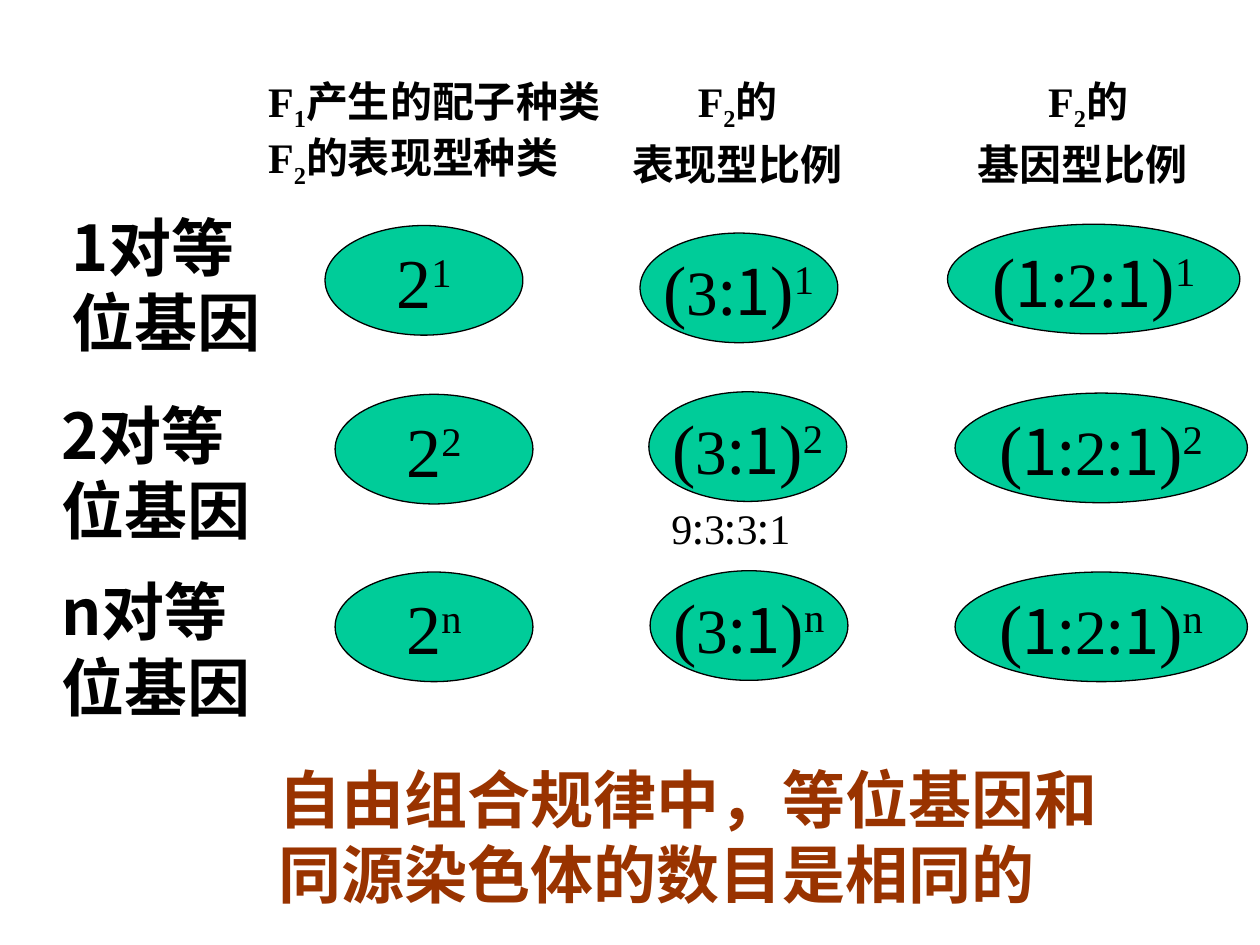
from pptx import Presentation
from pptx.dml.color import RGBColor
from pptx.enum.shapes import MSO_SHAPE
from pptx.enum.text import MSO_ANCHOR, MSO_AUTO_SIZE, PP_ALIGN
from pptx.oxml.ns import qn
from pptx.util import Inches, Pt

COLORS = {"text": "000000", "oval": "00CC99", "conclusion": "993300"}
SERIF, SANS = "Times New Roman", "Noto Sans CJK SC"
SUB, SUPER = -25000, 30000


def add_run(p, text, size, font=SERIF, color="text", bold=False, baseline=0):
    """Add one formatted run to a paragraph."""
    r = p.add_run()
    r.text = text
    r.font.name, r.font.size, r.font.bold = font, Pt(size), bold
    r.font.color.rgb = RGBColor.from_string(COLORS[color])
    rpr = r._r.get_or_add_rPr()
    ea = rpr.makeelement(qn("a:ea"), {"typeface": SANS})
    rpr.find(qn("a:latin")).addnext(ea)
    if baseline:
        rpr.set("baseline", str(baseline))


def add_box(s, left, top, width, height):
    """Add a wrapping text box and return its text frame."""
    sp = s.shapes.add_textbox(Inches(left), Inches(top), Inches(width), Inches(height))
    tf = sp.text_frame
    tf.word_wrap = True
    tf.auto_size = MSO_AUTO_SIZE.SHAPE_TO_FIT_TEXT
    return tf


def add_statement(s, left, top, width, text, color="text"):
    """Add a large bold two-line text."""
    tf = add_box(s, left, top, width, 1.3)
    tf.margin_top, tf.margin_bottom = Inches(0.1), 0
    p = tf.paragraphs[0]
    p.line_spacing = Pt(43)
    add_run(p, text, 36, SANS, color, True)


def add_header(s, left, width, height, lines, align):
    """Add a column header whose digits are subscripts."""
    tf = add_box(s, left, 0.55, width, height)
    for i, line in enumerate(lines):
        p = tf.add_paragraph() if i else tf.paragraphs[0]
        p.alignment = align
        p.line_spacing = Pt(32.5)
        for text in line:
            add_run(p, text, 24, bold=True, baseline=SUB if text.isdigit() else 0)


def add_oval(s, left, top, width, base, power):
    """Add an ellipse showing a base raised to a power."""
    sp = s.shapes.add_shape(MSO_SHAPE.OVAL, Inches(left), Inches(top), Inches(width), Inches(0.87))
    sp.shadow.inherit = False
    sp.fill.solid()
    sp.fill.fore_color.rgb = RGBColor.from_string(COLORS["oval"])
    sp.line.color.rgb = RGBColor.from_string(COLORS["text"])
    sp.line.width = Pt(0.75)
    tf = sp.text_frame
    tf.word_wrap = False
    tf.vertical_anchor = MSO_ANCHOR.MIDDLE
    p = tf.paragraphs[0]
    p.alignment = PP_ALIGN.CENTER
    for text, size, font in base:
        add_run(p, text, size, font)
    add_run(p, power, 40, baseline=SUPER)


def add_ratio(s, left, top, numbers):
    """Add a small ratio with sans colons."""
    p = add_box(s, left, top, 1.49, 0.5).paragraphs[0]
    p.line_spacing = Pt(31.5)
    for i, number in enumerate(numbers):
        if i:
            add_run(p, ":", 24, SANS)
        add_run(p, number, 24)


def main():
    """Build the slide and save it."""
    prs = Presentation()
    prs.slide_width, prs.slide_height = Inches(10), Inches(7.5)
    s = prs.slides.add_slide(prs.slide_layouts[6])

    add_header(s, 2.03, 2.99, 1.01,
               [["F", "1", "产生的配子种类F", "2", "的表现型种类"]], PP_ALIGN.LEFT)
    add_header(s, 4.84, 2.03, 0.96, [["F", "2", "的"], ["表现型比例"]], PP_ALIGN.CENTER)
    add_header(s, 7.58, 2.03, 0.96, [[" F", "2", "的"], ["基因型比例"]], PP_ALIGN.CENTER)

    opening, closing = ("(", 40, SERIF), (")", 40, SERIF)
    gametes = [("2", 40, SERIF)]
    phenotypes = [opening, ("3", 36, SERIF), (":1", 36, SANS), closing]
    genotypes = [opening, ("1:", 36, SANS), ("2", 36, SERIF), (":1", 36, SANS), closing]
    rows = [
        ("1", (0.47, 1.56), [(2.58, 1.79), (5.08, 1.85), (7.52, 1.78)]),
        ("2", (0.39, 3.05), [(2.66, 3.13), (5.15, 3.11), (7.58, 3.12)]),
        ("n", (0.39, 4.45), [(2.66, 4.54), (5.16, 4.53), (7.58, 4.54)]),
    ]
    for count, label_at, ovals_at in rows:
        add_statement(s, *label_at, 1.91, f"{count}对等位基因")
        for at, width, base in zip(ovals_at, (1.57, 1.57, 2.32), (gametes, phenotypes, genotypes)):
            add_oval(s, *at, width, base, count)

    add_ratio(s, 5.23, 3.9, "9331")
    add_statement(s, 2.11, 5.94, 7.09, "自由组合规律中，等位基因和同源染色体的数目是相同的", "conclusion")
    prs.save("out.pptx")


if __name__ == "__main__":
    main()
